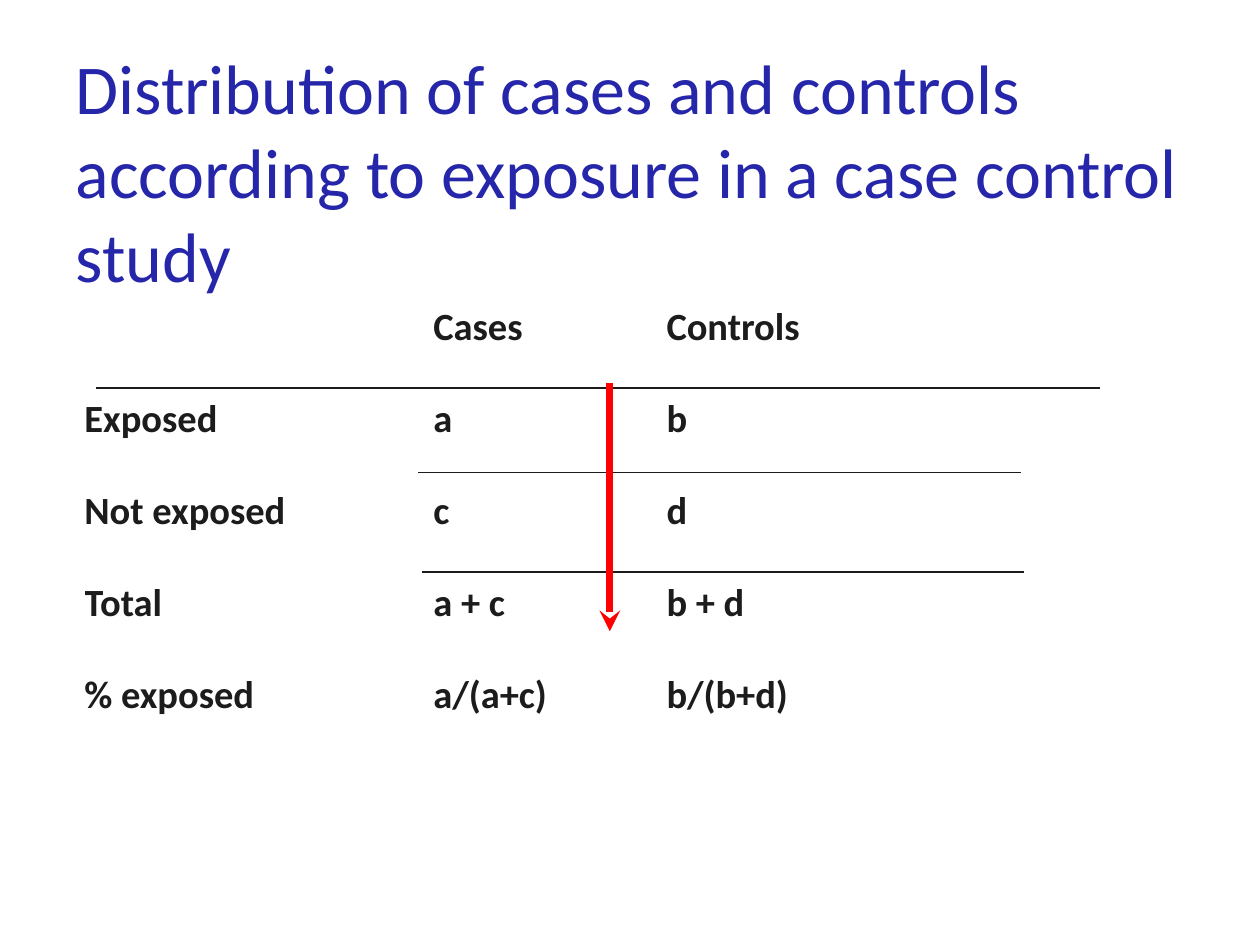
from lxml.etree import SubElement
from pptx import Presentation
from pptx.dml.color import RGBColor
from pptx.enum.shapes import MSO_CONNECTOR
from pptx.enum.text import MSO_ANCHOR, MSO_AUTO_SIZE, PP_ALIGN
from pptx.oxml.ns import qn
from pptx.util import Inches, Pt

INK, TITLE_BLUE, RED = "1C1C1C", "2526A9", "FF0000"

TITLE = ("Distribution of cases and controls according to exposure "
         "in a case control study")
ROWS = [
    ("", "Cases", "Controls"),
    ("Exposed", "a", "b"),
    ("Not exposed", "c", "d"),
    ("Total", "a + c", "b + d"),
    ("% exposed", "a/(a+c)", "b/(b+d)"),
]
COLUMN_WIDTHS = (2.77, 1.85, 4.2)
ROW_HEIGHT = 0.73
RULES = [(0.76, 8.73, 3.08), (3.32, 8.1, 3.75), (3.35, 8.13, 4.54)]


def colour(hex_code):
    return RGBColor.from_string(hex_code)


def write_text(frame, text, size, ink, bold=False):
    frame.word_wrap = True
    paragraph = frame.paragraphs[0]
    paragraph.alignment = PP_ALIGN.LEFT
    run = paragraph.add_run()
    run.text = text
    run.font.name = "Calibri"
    run.font.size = Pt(size)
    run.font.bold = bold
    run.font.color.rgb = colour(ink)


def add_title(slide):
    title = slide.shapes.title
    title.left, title.top = Inches(0.5), Inches(0.3)
    title.width, title.height = Inches(9), Inches(1.25)
    frame = title.text_frame
    frame.auto_size = MSO_AUTO_SIZE.NONE
    frame.vertical_anchor = MSO_ANCHOR.TOP
    write_text(frame, TITLE, size=40, ink=TITLE_BLUE)


def add_exposure_table(slide):
    table = slide.shapes.add_table(
        len(ROWS), len(COLUMN_WIDTHS), Inches(0.67), Inches(2.41),
        Inches(sum(COLUMN_WIDTHS)), Inches(ROW_HEIGHT * len(ROWS))).table
    table.first_row = table.horz_banding = False
    for column, width in zip(table.columns, COLUMN_WIDTHS):
        column.width = Inches(width)
    for row, labels in zip(table.rows, ROWS):
        row.height = Inches(ROW_HEIGHT)
        for cell, label in zip(row.cells, labels):
            cell.fill.background()
            cell.margin_left = cell.margin_right = 0
            cell.margin_top = cell.margin_bottom = 0
            cell.vertical_anchor = MSO_ANCHOR.TOP
            if label:
                write_text(cell.text_frame, label, size=22, ink=INK, bold=True)


def add_line(slide, start, end, ink=INK, weight=1, arrow=False):
    line = slide.shapes.add_connector(
        MSO_CONNECTOR.STRAIGHT, *(Inches(value) for value in start + end))
    line.line.color.rgb = colour(ink)
    line.line.width = Pt(weight)
    if arrow:
        SubElement(line.line._get_or_add_ln(), qn("a:tailEnd"), type="stealth")
    SubElement(line._element.spPr, qn("a:effectLst"))


def main():
    deck = Presentation()
    deck.slide_width, deck.slide_height = Inches(10), Inches(7.5)
    slide = deck.slides.add_slide(deck.slide_layouts.get_by_name("Title Only"))
    add_title(slide)
    add_exposure_table(slide)
    for left, right, height in RULES:
        add_line(slide, (left, height), (right, height))
    add_line(slide, (4.84, 3.04), (4.84, 5.01), ink=RED, weight=4, arrow=True)
    deck.save("out.pptx")


if __name__ == "__main__":
    main()
